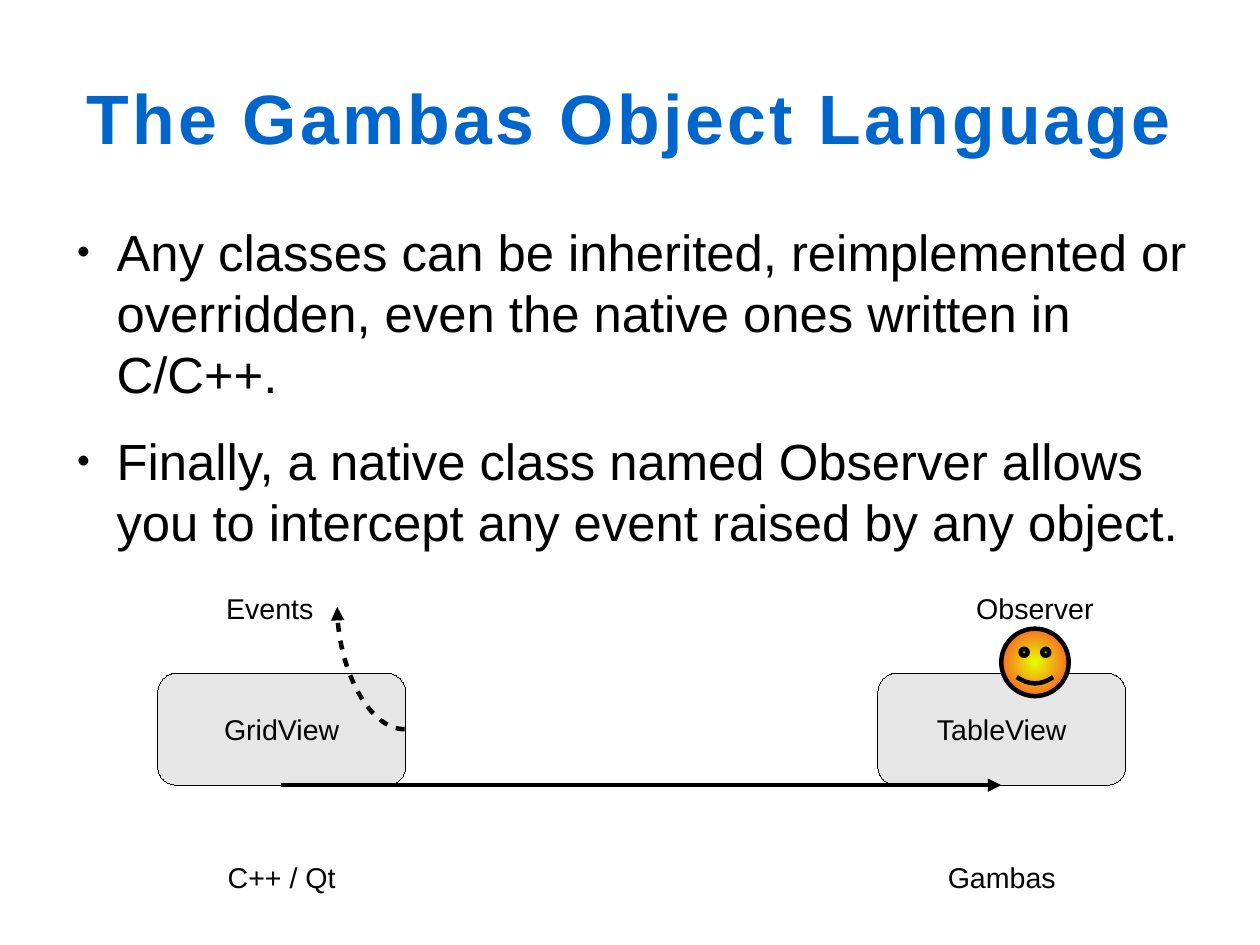
"""Build the slide on inheritance and observers in the Gambas object language."""
from lxml import etree
from pptx import Presentation
from pptx.dml.color import RGBColor as RGB
from pptx.enum.shapes import MSO_CONNECTOR as CONN, MSO_SHAPE as SHAPE
from pptx.enum.text import MSO_ANCHOR as ANCHOR, PP_ALIGN as ALIGN
from pptx.oxml.ns import qn
from pptx.util import Inches, Pt

COLORS = {"title": "0066CC", "ink": "000000", "box": "E6E6E6",
          "glow": "E6FF00", "rim": "FF3333"}


def color(name):
    return RGB.from_string(COLORS[name])


def write(p, text, size, name="ink", align=ALIGN.CENTER):
    p.alignment = align
    r = p.add_run()
    r.text = text
    r.font.name = "Arial"
    r.font.size = Pt(size)
    r.font.color.rgb = color(name)
    return r


prs = Presentation()
prs.slide_width, prs.slide_height = Inches(28 / 2.54), Inches(21 / 2.54)
s = prs.slides.add_slide(prs.slide_layouts[1])

title, body = s.placeholders
for sp, top, height, anchor in ((title, 0.33, 1.38, ANCHOR.MIDDLE),
                                (body, 1.93, 5.36, ANCHOR.TOP)):
    sp.left, sp.top = Inches(0.55), Inches(top)
    sp.width, sp.height = Inches(9.92), Inches(height)
    tf = sp.text_frame
    tf.word_wrap = True
    tf.vertical_anchor = anchor
    tf.margin_left = tf.margin_right = tf.margin_top = tf.margin_bottom = 0

r = write(title.text_frame.paragraphs[0], "The Gambas Object Language", 44, "title")
r.font.bold = True
r.font._element.set("spc", "200")

points = ["Any classes can be inherited, reimplemented or overridden, "
          "even the native ones written in C/C++.",
          "Finally, a native class named Observer allows you to intercept "
          "any event raised by any object."]
tf = body.text_frame
for i, point in enumerate(points):
    p = tf.add_paragraph() if i else tf.paragraphs[0]
    pPr = p._p.get_or_add_pPr()
    pPr.set("marL", str(Inches(0.47)))
    pPr.set("indent", str(Inches(-0.35)))
    bullet_color = etree.SubElement(pPr, qn("a:buClr"))
    etree.SubElement(bullet_color, qn("a:srgbClr"), val=COLORS["ink"])
    etree.SubElement(pPr, qn("a:buSzPct"), val="45000")
    etree.SubElement(pPr, qn("a:buFont"), typeface="Arial")
    etree.SubElement(pPr, qn("a:buChar"), char="●")
    p.space_before, p.space_after = Pt(0), Pt(16.2)
    write(p, point, 32, align=ALIGN.LEFT)

for left, name in ((1.38, "GridView"), (7.68, "TableView")):
    sp = s.shapes.add_shape(SHAPE.ROUNDED_RECTANGLE, Inches(left), Inches(5.89),
                            Inches(2.17), Inches(0.98))
    sp.shadow.inherit = False
    sp.fill.solid()
    sp.fill.fore_color.rgb = color("box")
    sp.line.color.rgb = color("ink")
    sp.line._get_or_add_ln().set("w", "0")
    sp.text_frame.vertical_anchor = ANCHOR.MIDDLE
    write(sp.text_frame.paragraphs[0], name, 18)

for left, top, width, label in ((1.38, 7.47, 2.17, "C++ / Qt"),
                                (7.68, 7.47, 2.17, "Gambas"),
                                (8.27, 5.12, 1.57, "Observer"),
                                (1.77, 5.12, 1.18, "Events")):
    tb = s.shapes.add_textbox(Inches(left), Inches(top), Inches(width), Inches(0.38))
    tb.text_frame.word_wrap = True
    write(tb.text_frame.paragraphs[0], label, 18)

inherits = s.shapes.add_connector(CONN.STRAIGHT, Inches(2.46), Inches(6.87),
                                  Inches(8.76), Inches(6.87))
raises = s.shapes.add_connector(CONN.CURVE, Inches(2.95), Inches(5.31),
                                Inches(3.54), Inches(6.38))
raises._element.spPr.find(qn("a:prstGeom")).set("prst", "curvedConnector2")
raises._element.spPr.find(qn("a:xfrm")).set("rot", "10800000")
for cx in (inherits, raises):
    cx.line.color.rgb = color("ink")
    cx.line.width = Pt(2.83)
    ln = cx.line._get_or_add_ln()
    if cx is raises:
        dash = etree.SubElement(ln, qn("a:custDash"))
        etree.SubElement(dash, qn("a:ds"), d="200000", sp="200000")
    etree.SubElement(ln, qn("a:tailEnd"), type="triangle")
    etree.SubElement(cx._element.spPr, qn("a:effectLst"))

face = s.shapes.add_shape(SHAPE.SMILEY_FACE, Inches(8.76), Inches(5.5),
                          Inches(0.59), Inches(0.59))
face.shadow.inherit = False
face.line.color.rgb = color("ink")
face.line.width = Pt(2.83)
face.fill.gradient()
for stop, name, position in zip(face.fill.gradient_stops, ("glow", "rim"), (0, 1)):
    stop.color.rgb = color(name)
    stop.position = position
grad = face._element.spPr.find(qn("a:gradFill"))
grad.remove(grad.find(qn("a:lin")))
radial = etree.SubElement(grad, qn("a:path"), path="circle")
etree.SubElement(radial, qn("a:fillToRect"), l="50000", t="50000", r="50000", b="50000")

prs.save("out.pptx")
